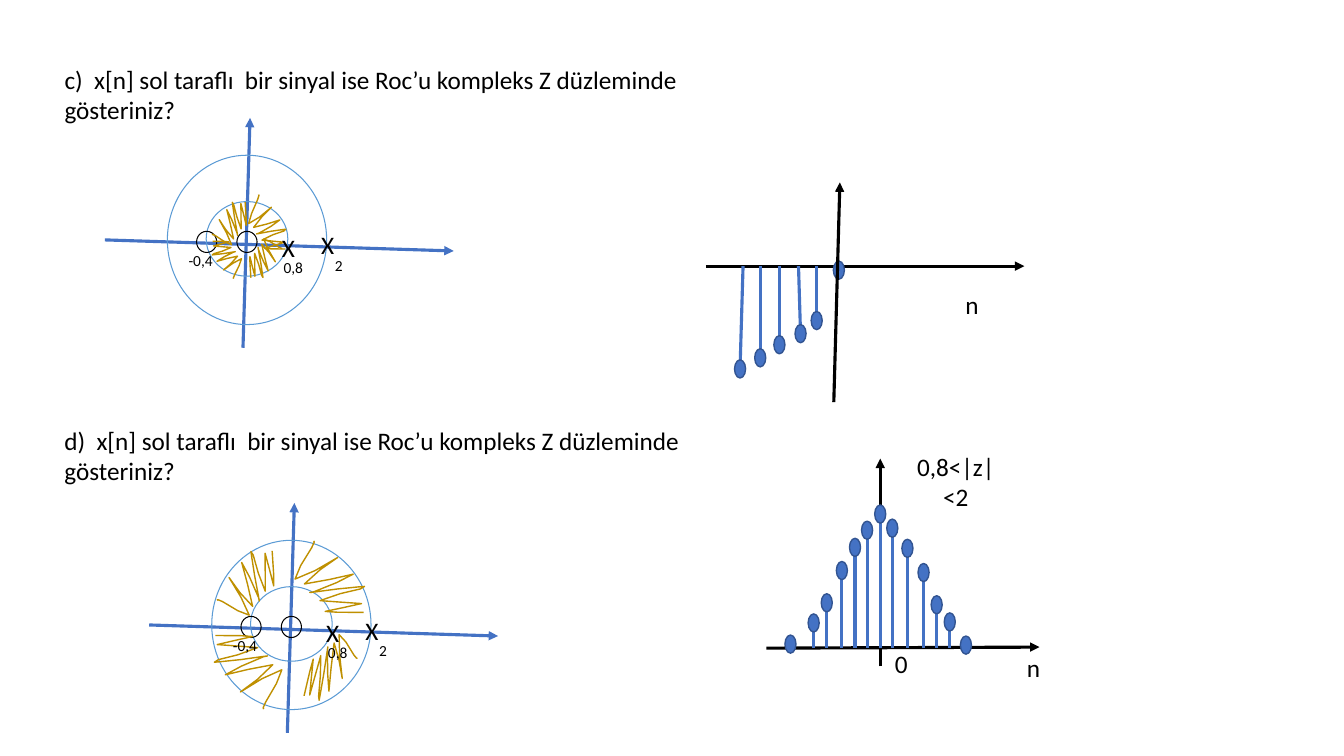
from dataclasses import dataclass
from lxml import etree
from pptx import Presentation
from pptx.dml.color import RGBColor
from pptx.enum.shapes import MSO_CONNECTOR, MSO_SHAPE
from pptx.enum.text import MSO_ANCHOR, MSO_AUTO_SIZE, PP_ALIGN
from pptx.oxml.ns import qn
from pptx.util import Inches, Pt

STRAIGHT = MSO_CONNECTOR.STRAIGHT
OVAL, MARKER = MSO_SHAPE.OVAL, MSO_SHAPE.FLOWCHART_CONNECTOR
TOP, MIDDLE = MSO_ANCHOR.TOP, MSO_ANCHOR.MIDDLE
LEFT, CENTER = PP_ALIGN.LEFT, PP_ALIGN.CENTER
NO_AUTOSIZE = MSO_AUTO_SIZE.NONE


@dataclass(frozen=True)
class Theme:
    font: str = "Calibri"
    black: str = "000000"
    blue: str = "4472C4"
    marker_edge: str = "325491"
    circle: str = "5B9BD5"
    hatch: str = "BF9000"
    body_size: float = 18
    small_size: float = 11
    axis_width: float = 2.25
    thin_width: float = 0.75
    edge_width: float = 1


THEME = Theme()
SLIDE_SIZE = (13.33, 7.5)
HEADING_LEFT, HEADING_SIZE = 0.54, (6.67, 0.71)
HEADINGS = [
    (0.59, "c)  x[n] sol taraflı  bir sinyal ise Roc’u kompleks Z düzleminde gösteriniz?"),
    (4.17, "d)  x[n] sol taraflı  bir sinyal ise Roc’u kompleks Z düzleminde gösteriniz?"),
]

PLANE_AXES = [((-1.41, -0.02), (2.05, 0.09)), ((-0.04, 1.05), (0.03, -1.23))]
PLANE_CIRCLES = [
    (0, -0.03, 0.81, 0.74, THEME.circle),
    (0, -0.02, 1.58, 1.68, THEME.circle),
    (-0.4, 0, 0.2, 0.21, THEME.black),
    (0, 0, 0.2, 0.21, THEME.black),
]
PLANE_LABELS = [
    ("X", 0.41, 0.05, THEME.body_size),
    ("X", 0.8, 0.03, THEME.body_size),
    ("-0,4", -0.46, 0.18, THEME.small_size),
    ("0,8", 0.46, 0.25, THEME.small_size),
    ("2", 0.91, 0.23, THEME.small_size),
]
PLANES = [
    {"origin": (2.45, 2.4), "hatches": [
        (-0.2, 0.18, 0.29, 0.37, 0), (0.19, 0.16, 0.38, 0.33, 266.1),
        (-0.18, -0.18, 0.42, 0.35, 86.1), (0.2, -0.2, 0.37, 0.54, 180)]},
    {"origin": (2.89, 6.22), "hatches": [
        (-0.43, 0.45, 0.67, 0.73, 0), (0.41, 0.41, 0.68, 0.43, 283.2),
        (-0.46, -0.43, 0.63, 0.58, 86.1), (0.38, -0.5, 0.69, 0.71, 180)]},
]

HATCH_SPAN = (67, 73)
HATCH_START = (1, 0)
HATCH_CURVES = [
    ((19, 0), (37, 0), (38, 1)), ((38, 3), (2, 7), (3, 9)),
    ((4, 11), (43, 10), (43, 12)), ((43, 15), (4, 24), (4, 24)),
    ((-2, 27), (-1, 27), (6, 26)), ((13, 26), (40, 22), (47, 21)),
    ((54, 21), (55, 19), (49, 21)), ((43, 24), (9, 37), (11, 39)),
    ((12, 40), (55, 27), (58, 29)), ((60, 32), (26, 56), (26, 56)),
    ((33, 52), (63, 32), (67, 34)), ((71, 35), (54, 59), (51, 66)),
    ((47, 72), (49, 73), (49, 73)),
]
CURVE_STEPS = 2

MARKER_SIZE = (0.11, 0.18)
SIGNALS = [
    {"baseline": 2.64,
     "axes_behind": [((7, 2.64), (10.16, 2.64))],
     "axes_front": [((8.27, 3.99), (8.33, 1.81))],
     "stems": [(7.37, 7.34, 3.66), (7.54, 7.54, 3.55), (7.73, 7.73, 3.42),
               (7.92, 7.94, 3.31), (8.1, 8.1, 3.18)],
     "bare_markers": [(8.32, 2.68)],
     "labels": [("n", 9.64, 3.02)]},
    {"baseline": 6.43,
     "axes_behind": [((8.73, 6.61), (8.73, 4.55)), ((7.6, 6.43), (10.31, 6.42))],
     "axes_front": [],
     "stems": [(8.07, 8.07, 6.18), (8.2, 8.2, 5.98), (8.35, 8.35, 5.66),
               (8.48, 8.48, 5.43), (8.6, 8.6, 5.26), (8.73, 8.73, 5.1),
               (8.85, 8.85, 5.24), (9, 9, 5.44), (9.16, 9.16, 5.68),
               (9.29, 9.29, 6), (9.42, 9.42, 6.17)],
     "bare_markers": [(7.84, 6.39), (9.58, 6.4)],
     "labels": [("0", 8.94, 6.58), ("n", 10.25, 6.62), ("0,8<|z|<2", 9.48, 4.78)]},
]


def write(shape, text, size, alignment, anchor):
    frame = shape.text_frame
    frame.auto_size = NO_AUTOSIZE
    frame.word_wrap = True
    frame.vertical_anchor = anchor
    frame.text = text
    paragraph = frame.paragraphs[0]
    paragraph.alignment = alignment
    font = paragraph.runs[0].font
    font.name, font.size = THEME.font, Pt(size)
    font.color.rgb = RGBColor.from_string(THEME.black)


def outline(shape, color, width):
    shape.line.color.rgb = RGBColor.from_string(color)
    shape.line.width = Pt(width)


def centered_box(x, y, width, height):
    return [Inches(v) for v in (x - width / 2, y - height / 2, width, height)]


def add_label(slide, text, x, y, size):
    box = slide.shapes.add_textbox(*centered_box(x, y, 1.2, 0.4))
    write(box, text, size, CENTER, MIDDLE)


def add_line(slide, start, end, color, arrow=False):
    connector = slide.shapes.add_connector(STRAIGHT, *[Inches(v) for v in (*start, *end)])
    outline(connector, color, THEME.axis_width)
    if arrow:
        etree.SubElement(connector.line._get_or_add_ln(), qn("a:tailEnd"), type="triangle")
    etree.SubElement(connector._element.spPr, qn("a:effectLst"))


def add_oval(slide, kind, box, edge, width, fill=None):
    shape = slide.shapes.add_shape(kind, *centered_box(*box))
    shape.shadow.inherit = False
    if fill:
        shape.fill.solid()
        shape.fill.fore_color.rgb = RGBColor.from_string(fill)
    else:
        shape.fill.background()
    outline(shape, edge, width)


def hatch_points():
    points = [HATCH_START]
    for first, second, end in HATCH_CURVES:
        start = points[-1]
        for step in range(1, CURVE_STEPS + 1):
            t = step / CURVE_STEPS
            points.append(tuple(
                a * (1 - t) ** 3 + 3 * b * t * (1 - t) ** 2 + 3 * c * t ** 2 * (1 - t) + d * t ** 3
                for a, b, c, d in zip(start, first, second, end)))
    return points


def add_hatch(slide, x, y, width, height, rotation):
    left, top = x - width / 2, y - height / 2
    points = [(Inches(left + px / HATCH_SPAN[0] * width), Inches(top + py / HATCH_SPAN[1] * height))
              for px, py in hatch_points()]
    builder = slide.shapes.build_freeform(*points[0])
    builder.add_line_segments(points[1:], close=False)
    shape = builder.convert_to_shape()
    shape.shadow.inherit = False
    shape.fill.background()
    outline(shape, THEME.hatch, THEME.edge_width)
    shape.rotation = rotation


def add_plane(slide, origin, hatches):
    ox, oy = origin
    for start, end in PLANE_AXES:
        add_line(slide, (ox + start[0], oy + start[1]), (ox + end[0], oy + end[1]), THEME.blue, True)
    for x, y, width, height, color in PLANE_CIRCLES:
        add_oval(slide, OVAL, (ox + x, oy + y, width, height), color, THEME.thin_width)
    for x, y, *shape_values in hatches:
        add_hatch(slide, ox + x, oy + y, *shape_values)
    for text, x, y, size in PLANE_LABELS:
        add_label(slide, text, ox + x, oy + y, size)


def add_signal(slide, baseline, axes_behind, axes_front, stems, bare_markers, labels):
    for start, end in axes_behind:
        add_line(slide, start, end, THEME.black, True)
    for foot, x, y in stems:
        add_line(slide, (foot, baseline), (x, y), THEME.blue)
    for x, y in [stem[1:] for stem in stems] + bare_markers:
        add_oval(slide, MARKER, (x, y, *MARKER_SIZE), THEME.marker_edge, THEME.edge_width, THEME.blue)
    for start, end in axes_front:
        add_line(slide, start, end, THEME.black, True)
    for text, x, y in labels:
        add_label(slide, text, x, y, THEME.body_size)


def main():
    presentation = Presentation()
    presentation.slide_width, presentation.slide_height = [Inches(v) for v in SLIDE_SIZE]
    slide = presentation.slides.add_slide(presentation.slide_layouts[5])
    headings = [slide.shapes.title, slide.shapes.add_textbox(0, 0, 0, 0)]
    for shape, (top, text) in zip(headings, HEADINGS):
        shape.left, shape.top = Inches(HEADING_LEFT), Inches(top)
        shape.width, shape.height = [Inches(v) for v in HEADING_SIZE]
        write(shape, text, THEME.body_size, LEFT, TOP)
    for plane in PLANES:
        add_plane(slide, **plane)
    for signal in SIGNALS:
        add_signal(slide, **signal)
    presentation.save("out.pptx")


if __name__ == "__main__":
    main()
